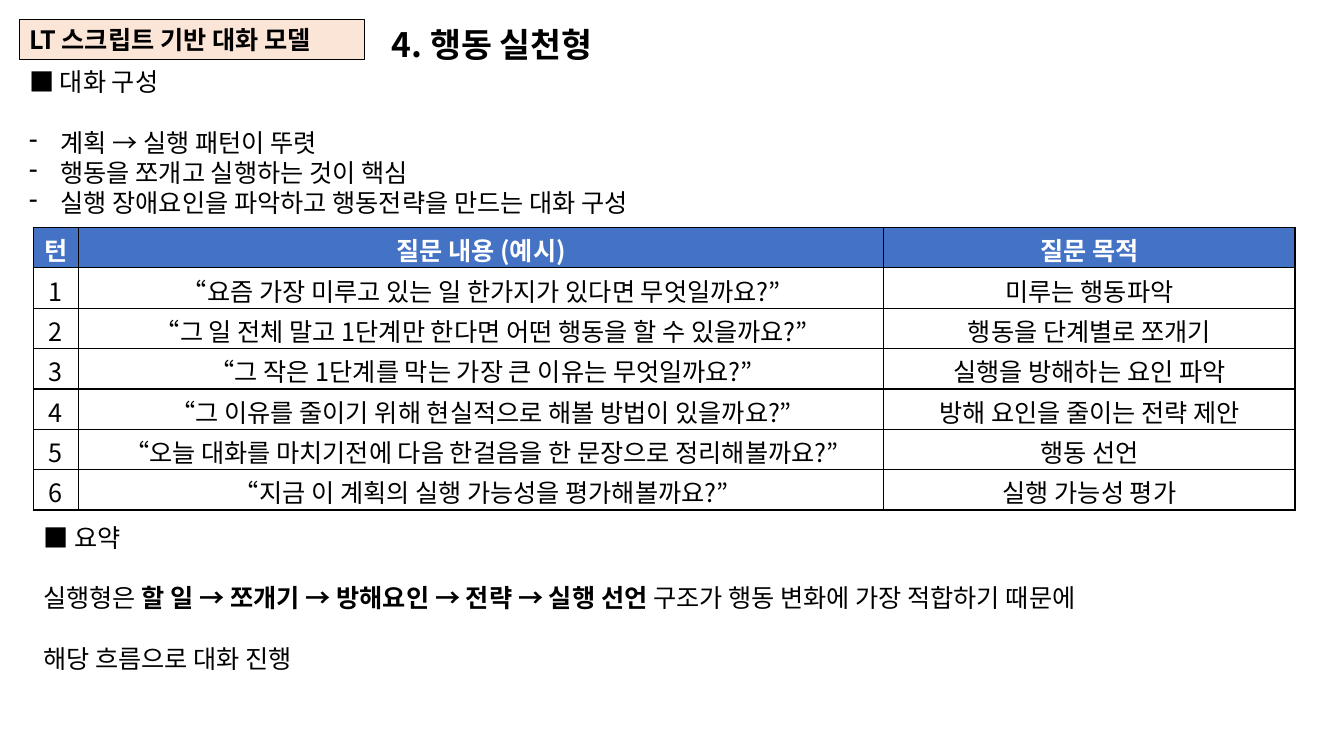
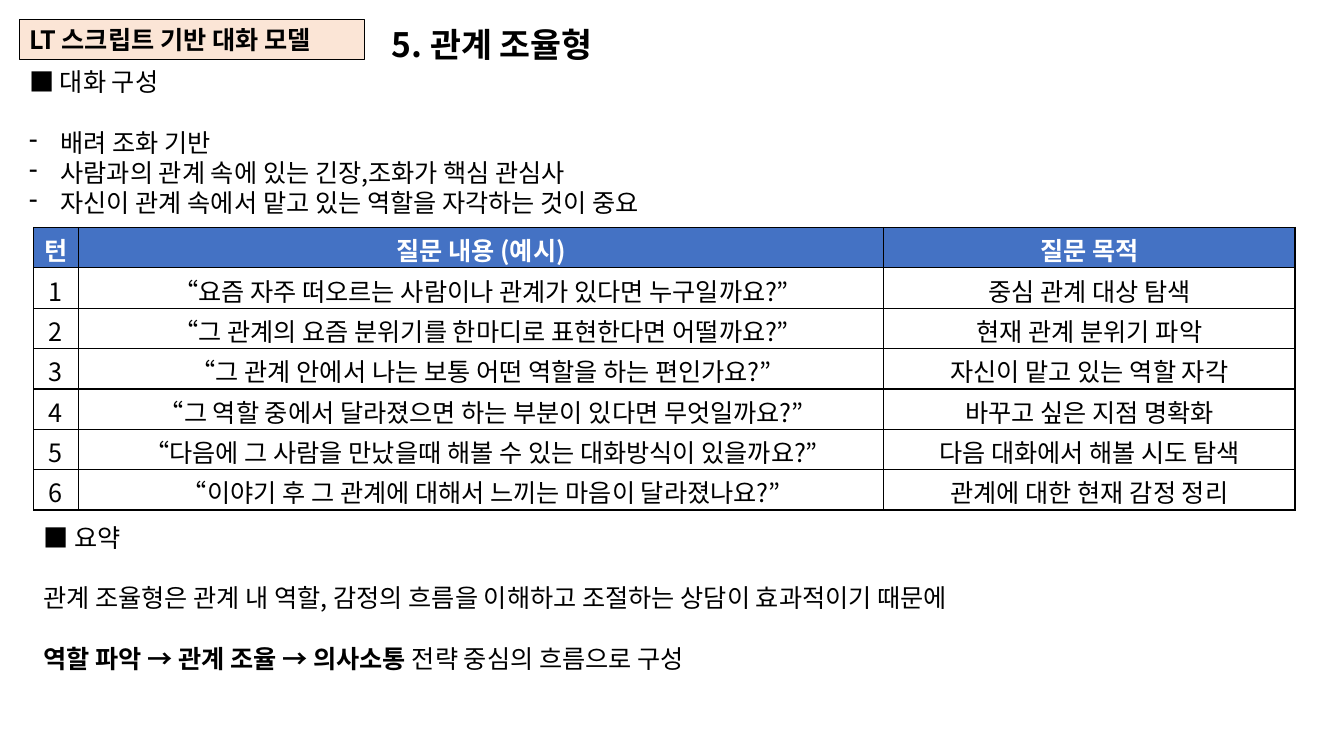
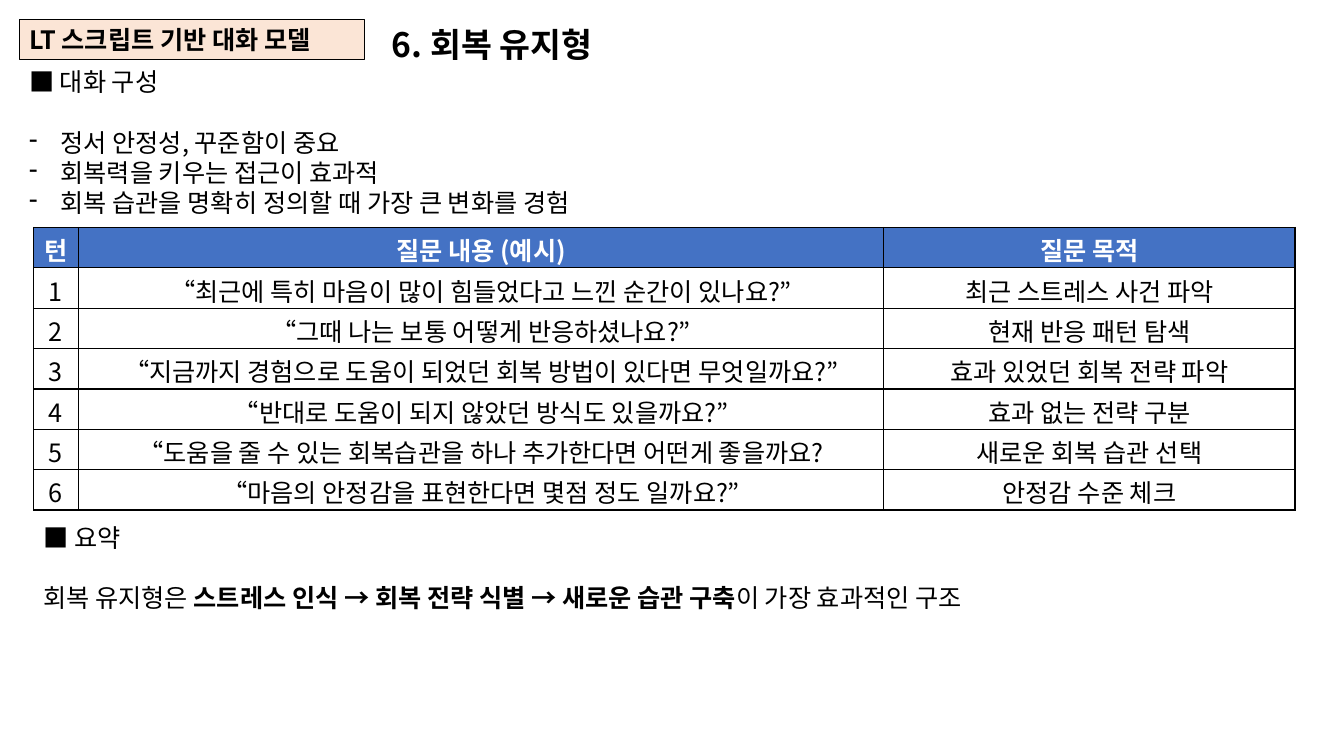
import pptx
import pptx.util
import pptx.dml.color
import pptx.enum.shapes
import pptx.enum.text
import pptx.oxml
import pptx.oxml.ns

Pt = pptx.util.Pt
RGBColor = pptx.dml.color.RGBColor
ALIGN = pptx.enum.text.PP_ALIGN
ANCHOR = pptx.enum.text.MSO_ANCHOR
qn = pptx.oxml.ns.qn

BLACK = RGBColor(0x00, 0x00, 0x00)
WHITE = RGBColor(0xFF, 0xFF, 0xFF)
PEACH = RGBColor(0xFB, 0xE5, 0xD6)
BLUE = RGBColor(0x44, 0x72, 0xC4)
FONT = "Noto Sans CJK KR"
SIZE = 18
LEAD = 1.2
GAP = SIZE * LEAD
INDENT = 22.5
COLS = [31.8, 575.6, 293.6]
ROW = 28.8

TAG = "LT 스크립트 기반 대화 모델"
HEAD = ("턴", "질문 내용 (예시)", "질문 목적")

TYPES = [
    {
        "title": "4. 행동 실천형",
        "points": [
            "계획 → 실행 패턴이 뚜렷",
            "행동을 쪼개고 실행하는 것이 핵심",
            "실행 장애요인을 파악하고 행동전략을 만드는 대화 구성",
        ],
        "turns": [
            ("“요즘 가장 미루고 있는 일 한가지가 있다면 무엇일까요?”", "미루는 행동파악"),
            ("“그 일 전체 말고 1단계만 한다면 어떤 행동을 할 수 있을까요?”", "행동을 단계별로 쪼개기"),
            ("“그 작은 1단계를 막는 가장 큰 이유는 무엇일까요?”", "실행을 방해하는 요인 파악"),
            ("“그 이유를 줄이기 위해 현실적으로 해볼 방법이 있을까요?”", "방해 요인을 줄이는 전략 제안"),
            ("“오늘 대화를 마치기전에 다음 한걸음을 한 문장으로 정리해볼까요?”", "행동 선언"),
            ("“지금 이 계획의 실행 가능성을 평가해볼까요?”", "실행 가능성 평가"),
        ],
        "summary": [
            [("실행형은 ", False),
             ("할 일 → 쪼개기 → 방해요인 → 전략 → 실행 선언", True),
             (" 구조가 행동 변화에 가장 적합하기 때문에", False)],
            [("해당 흐름으로 대화 진행", False)],
        ],
    },
    {
        "title": "5. 관계 조율형",
        "points": [
            "배려 조화 기반",
            "사람과의 관계 속에 있는 긴장,조화가 핵심 관심사",
            "자신이 관계 속에서 맡고 있는 역할을 자각하는 것이 중요",
        ],
        "turns": [
            ("“요즘 자주 떠오르는 사람이나 관계가 있다면 누구일까요?”", "중심 관계 대상 탐색"),
            ("“그 관계의 요즘 분위기를 한마디로 표현한다면 어떨까요?”", "현재 관계 분위기 파악"),
            ("“그 관계 안에서 나는 보통 어떤 역할을 하는 편인가요?”", "자신이 맡고 있는 역할 자각"),
            ("“그 역할 중에서 달라졌으면 하는 부분이 있다면 무엇일까요?”", "바꾸고 싶은 지점 명확화"),
            ("“다음에 그 사람을 만났을때 해볼 수 있는 대화방식이 있을까요?”", "다음 대화에서 해볼 시도 탐색"),
            ("“이야기 후 그 관계에 대해서 느끼는 마음이 달라졌나요?”", "관계에 대한 현재 감정 정리"),
        ],
        "summary": [
            [("관계 조율형은 관계 내 역할, 감정의 흐름을 이해하고 조절하는 상담이 효과적이기 때문에", False)],
            [("역할 파악 → 관계 조율 → 의사소통", True),
             (" 전략 중심의 흐름으로 구성", False)],
        ],
    },
    {
        "title": "6. 회복 유지형",
        "points": [
            "정서 안정성, 꾸준함이 중요",
            "회복력을 키우는 접근이 효과적",
            "회복 습관을 명확히 정의할 때 가장 큰 변화를 경험",
        ],
        "turns": [
            ("“최근에 특히 마음이 많이 힘들었다고 느낀 순간이 있나요?”", "최근 스트레스 사건 파악"),
            ("“그때 나는 보통 어떻게 반응하셨나요?”", "현재 반응 패턴 탐색"),
            ("“지금까지 경험으로 도움이 되었던 회복 방법이 있다면 무엇일까요?”", "효과 있었던 회복 전략 파악"),
            ("“반대로 도움이 되지 않았던 방식도 있을까요?”", "효과 없는 전략 구분"),
            ("“도움을 줄 수 있는 회복습관을 하나 추가한다면 어떤게 좋을까요?", "새로운 회복 습관 선택"),
            ("“마음의 안정감을 표현한다면 몇점 정도 일까요?”", "안정감 수준 체크"),
        ],
        "summary": [
            [("회복 유지형은 ", False),
             ("스트레스 인식 → 회복 전략 식별 → 새로운 습관 구축", True),
             ("이 가장 효과적인 구조", False)],
        ],
    },
]


def add_sub(parent, tag, **attrs):
    node = pptx.oxml.parse_xml(f'<{tag} {pptx.oxml.ns.nsdecls("a")}/>')
    for key, value in attrs.items():
        node.set(key, str(value))
    parent.append(node)
    return node


def write(para, runs, size=SIZE, color=BLACK, before=0):
    para.line_spacing = Pt(size * LEAD)
    para.space_before = Pt(before)
    for text, bold in runs:
        run = para.add_run()
        run.text = text
        font = run.font
        font.name, font.size, font.bold = FONT, Pt(size), bold
        font.color.rgb = color
        add_sub(run.font._element, "a:ea", typeface=FONT)


def next_para(frame):
    first = frame.paragraphs[0]
    return frame.add_paragraph() if first.runs else first


def add_box(slide, left, top, width, height):
    frame = slide.shapes.add_textbox(Pt(left), Pt(top), Pt(width), Pt(height)).text_frame
    frame.word_wrap = True
    frame.margin_top = Pt(5)
    return frame


def add_tag(slide):
    tag = slide.shapes.add_shape(
        pptx.enum.shapes.MSO_SHAPE.RECTANGLE, Pt(13.7), Pt(13.7), Pt(247), Pt(29.1))
    tag.shadow.inherit = False
    tag.fill.solid()
    tag.fill.fore_color.rgb = PEACH
    tag.line.color.rgb = BLACK
    tag.line.width = Pt(0.75)
    frame = tag.text_frame
    frame.vertical_anchor = ANCHOR.MIDDLE
    para = frame.paragraphs[0]
    para.alignment = ALIGN.LEFT
    write(para, [(TAG, True)])


def add_points(slide, points):
    frame = add_box(slide, 13.7, 42.5, 647, 116.6)
    write(next_para(frame), [("■ 대화 구성", False)])
    for i, point in enumerate(points):
        para = next_para(frame)
        props = para._p.get_or_add_pPr()
        props.set("marL", str(Pt(INDENT)))
        props.set("indent", str(-Pt(INDENT)))
        add_sub(props, "a:buFontTx")
        add_sub(props, "a:buChar", char="-")
        write(para, [(point, False)], before=0 if i else GAP)


def add_edges(cell):
    props = cell._tc.get_or_add_tcPr()
    for side in "LRTB":
        line = add_sub(props, f"a:ln{side}", w=Pt(1))
        fill = add_sub(line, "a:solidFill")
        add_sub(fill, "a:srgbClr", val=BLACK)


def add_turns(slide, turns):
    rows = [HEAD] + [(str(i), *turn) for i, turn in enumerate(turns, 1)]
    table = slide.shapes.add_table(
        len(rows), len(COLS), Pt(24), Pt(162.5), Pt(sum(COLS)), Pt(ROW * len(rows))).table
    table.horz_banding = False
    for column, width in zip(table.columns, COLS):
        column.width = Pt(width)
    for r, texts in enumerate(rows):
        table.rows[r].height = Pt(ROW)
        for c, text in enumerate(texts):
            cell = table.cell(r, c)
            add_edges(cell)
            cell.vertical_anchor = ANCHOR.MIDDLE
            cell.margin_top, cell.margin_bottom = Pt(7.2), Pt(0)
            para = cell.text_frame.paragraphs[0]
            para.alignment = ALIGN.CENTER
            if r == 0:
                cell.fill.solid()
                cell.fill.fore_color.rgb = BLUE
            else:
                cell.fill.background()
            write(para, [(text, r == 0)], color=BLACK if r else WHITE)


def add_summary(slide, lines):
    frame = add_box(slide, 23.8, 368, 877.7, 30 + 2 * GAP * len(lines))
    write(next_para(frame), [("■ 요약", False)])
    for runs in lines:
        write(next_para(frame), runs, before=GAP)


def main():
    deck = pptx.Presentation()
    deck.slide_width, deck.slide_height = Pt(960), Pt(540)
    for kind in TYPES:
        slide = deck.slides.add_slide(deck.slide_layouts[6])
        add_tag(slide)
        title = add_box(slide, 272.9, 12.2, 173.5, 36)
        write(next_para(title), [(kind["title"], True)], size=24)
        add_points(slide, kind["points"])
        add_turns(slide, kind["turns"])
        add_summary(slide, kind["summary"])
    deck.save("out.pptx")


if __name__ == "__main__":
    main()
